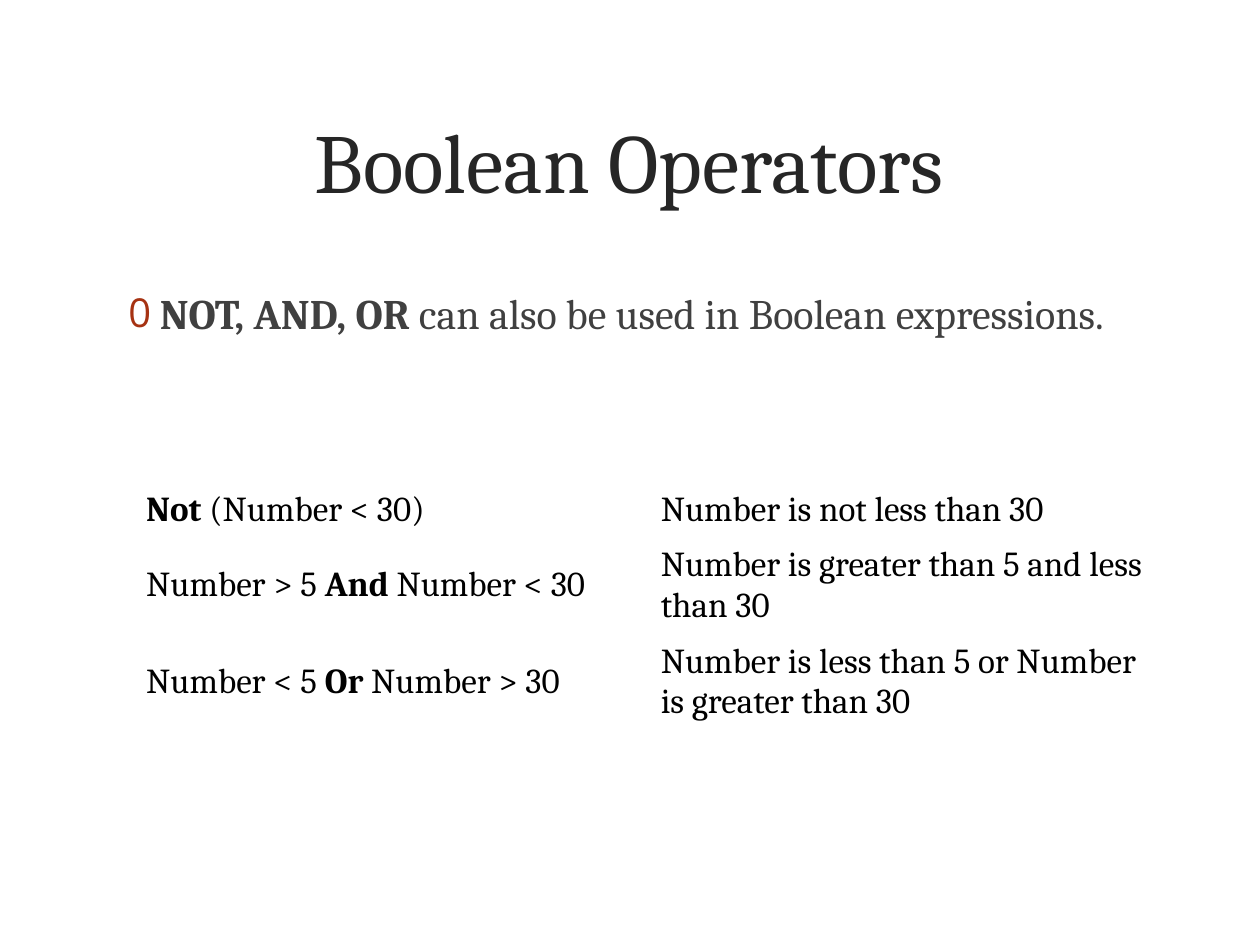
from dataclasses import dataclass

from lxml.etree import SubElement
from pptx import Presentation
from pptx.dml.color import RGBColor
from pptx.enum.text import MSO_ANCHOR, PP_ALIGN
from pptx.oxml.ns import qn
from pptx.util import Inches, Pt


@dataclass(frozen=True)
class Theme:
    font: str = "Cambria"
    bullet_font: str = "Open Sans"
    title_color: str = "262626"
    body_color: str = "404040"
    table_color: str = "000000"
    bullet_color: str = "A63212"
    title_size: int = 48
    body_size: int = 24
    table_size: int = 20


THEME = Theme()

# Each text is a list of (words, bold) runs
STATEMENT = [("NOT, AND, OR", True),
             (" can also be used in Boolean expressions.", False)]
OPERATOR_ROWS = [
    ([("Not ", True), ("(Number < 30)", False)],
     [("Number is not less than 30", False)]),
    ([("Number > 5 ", False), ("And", True), (" Number < 30", False)],
     [("Number is greater than 5 and less than 30", False)]),
    ([("Number < 5 ", False), ("Or", True), (" Number > 30", False)],
     [("Number is less than 5 or Number is greater than 30", False)]),
]
ROW_HEIGHTS = [0.42, 0.74, 0.74]


def place(shape, left, top, width, height):
    bounds = {"left": left, "top": top, "width": width, "height": height}
    for name, value in bounds.items():
        setattr(shape, name, Inches(value))


def add_runs(paragraph, runs, size, color):
    for words, bold in runs:
        run = paragraph.add_run()
        run.text = words
        font_format = {"name": THEME.font, "size": Pt(size), "bold": bold}
        for name, value in font_format.items():
            setattr(run.font, name, value)
        run.font.color.rgb = RGBColor.from_string(color)


def add_bullet(paragraph, character, indent):
    properties = paragraph._p.get_or_add_pPr()
    properties.set("marL", str(Inches(indent)))
    properties.set("indent", str(-Inches(indent)))
    color = SubElement(properties, qn("a:buClr"))
    SubElement(color, qn("a:srgbClr"), val=THEME.bullet_color)
    SubElement(properties, qn("a:buSzPct"), val="95000")
    SubElement(properties, qn("a:buFont"), typeface=THEME.bullet_font)
    SubElement(properties, qn("a:buChar"), char=character)


def set_title(slide, text):
    title = slide.shapes.title
    place(title, 0.6, 0.48, 8.79, 1.58)
    title.text_frame.vertical_anchor = MSO_ANCHOR.MIDDLE
    paragraph = title.text_frame.paragraphs[0]
    paragraph.alignment = PP_ALIGN.CENTER
    add_runs(paragraph, [(text, False)], THEME.title_size, THEME.title_color)


def add_statement(slide, runs):
    bounds = [Inches(value) for value in (0.92, 2.23, 8.17, 4.32)]
    text_frame = slide.shapes.add_textbox(*bounds).text_frame
    text_frame.word_wrap = True
    paragraph = text_frame.paragraphs[0]
    paragraph.space_before = Pt(0.2 * THEME.body_size)
    add_bullet(paragraph, "0", 0.25)
    add_runs(paragraph, runs, THEME.body_size, THEME.body_color)


def add_operator_table(slide, rows):
    bounds = [Inches(value) for value in (1.06, 3.83, 8.17, sum(ROW_HEIGHTS))]
    table = slide.shapes.add_table(len(rows), len(rows[0]), *bounds).table
    for name in ("first_row", "horz_banding"):
        setattr(table, name, False)
    for row, height, texts in zip(table.rows, ROW_HEIGHTS, rows):
        row.height = Inches(height)
        for cell, runs in zip(row.cells, texts):
            cell.fill.background()
            cell.vertical_anchor = MSO_ANCHOR.MIDDLE
            add_runs(cell.text_frame.paragraphs[0], runs,
                     THEME.table_size, THEME.table_color)


def main():
    presentation = Presentation()
    presentation.slide_width = Inches(10)
    presentation.slide_height = Inches(7.5)
    title_only = presentation.slide_layouts[5]
    slide = presentation.slides.add_slide(title_only)

    # Heading and statement
    set_title(slide, "Boolean Operators")
    add_statement(slide, STATEMENT)

    # Expressions and their meanings
    add_operator_table(slide, OPERATOR_ROWS)

    presentation.save("out.pptx")


if __name__ == "__main__":
    main()
